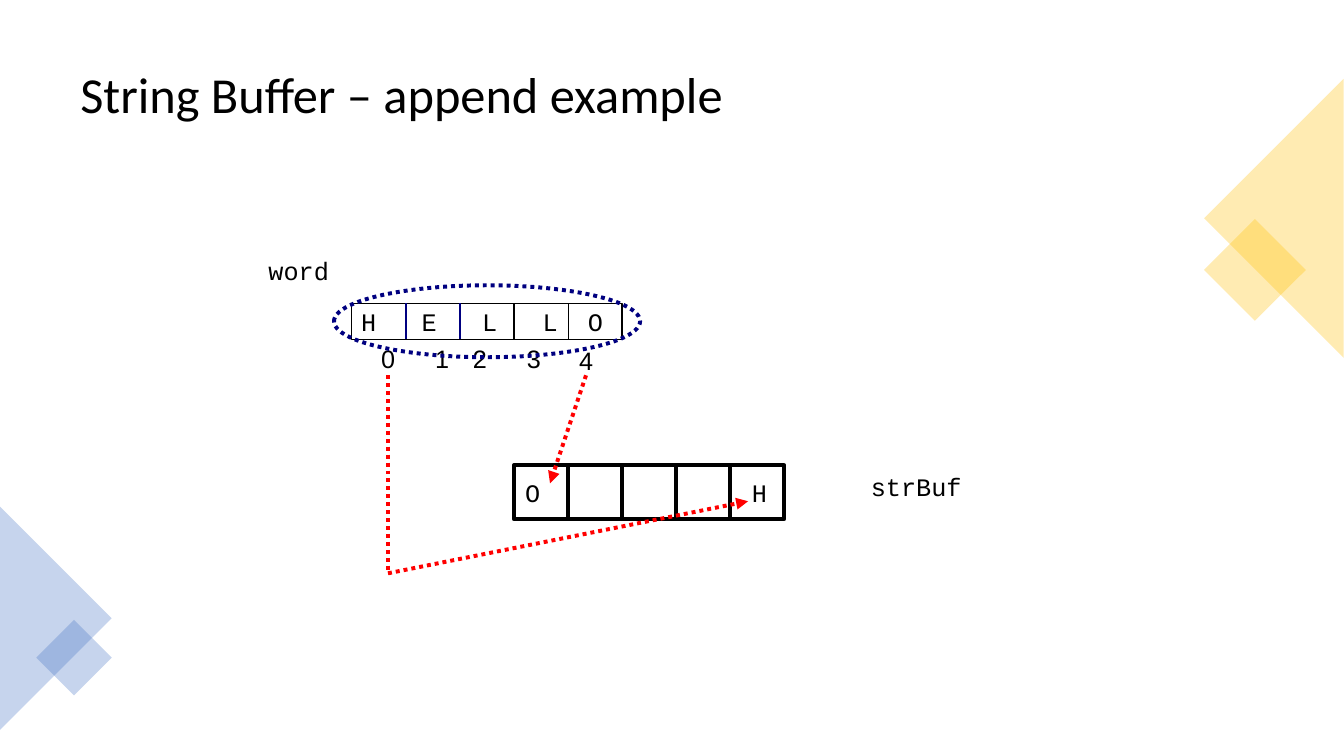
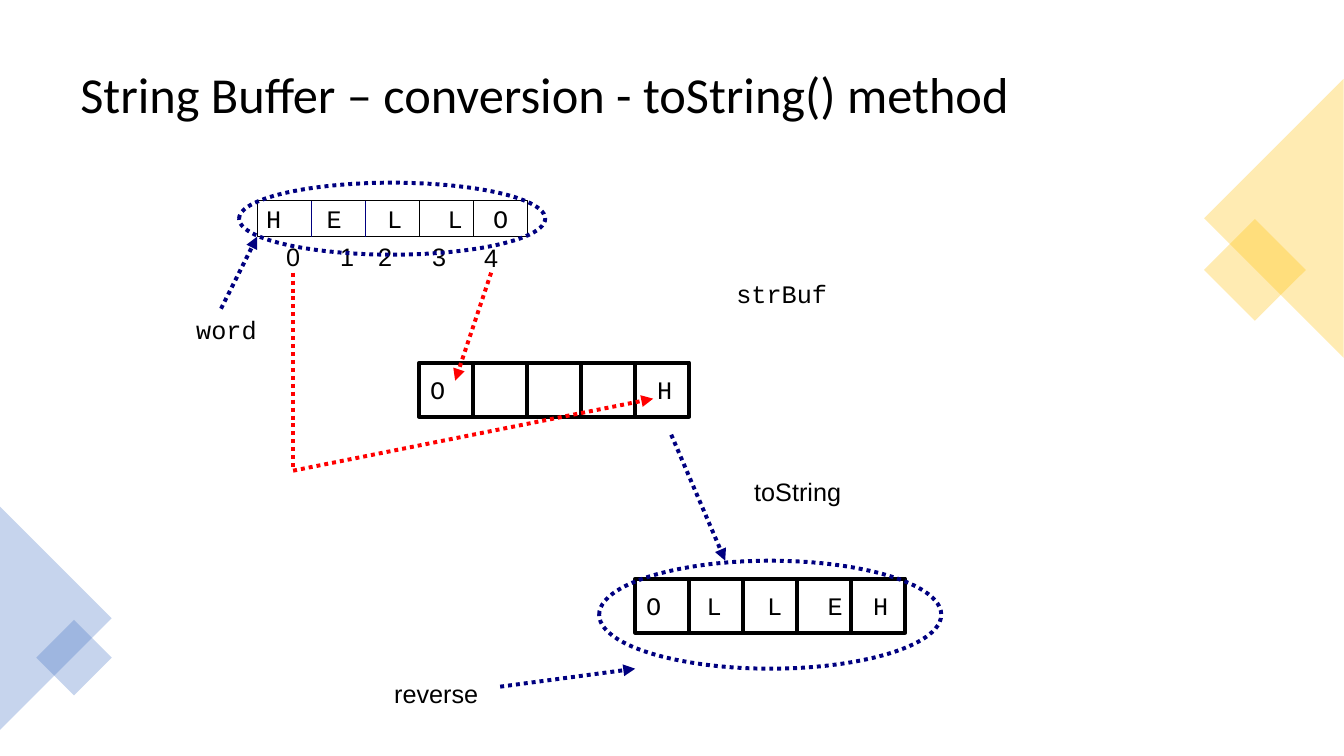
from lxml.etree import SubElement
from pptx import Presentation
from pptx.dml.color import RGBColor
from pptx.enum.dml import MSO_LINE
from pptx.enum.shapes import MSO_CONNECTOR, MSO_SHAPE
from pptx.enum.text import MSO_ANCHOR, MSO_AUTO_SIZE, PP_ALIGN
from pptx.oxml.ns import qn
from pptx.util import Inches, Pt

COLORS = {"ink": "000000", "navy": "000080", "red": "FF0000",
          "gold": "FFC000", "blue": "4472C4"}
MONO, SANS, HEAD = "Courier New", "Arial", "Calibri"
WIDE, HIGH = 13.33, 7.5
UNIT = 1 / 5.6          # grid step in inches; a letter cell is three steps wide
CELL, COUNT = 3, 5
THIN, BOLD = 0.75, 2.83
TABS = (0.6, 1.2, 1.8, 2.25)    # letter stops inside a row
MARKS = (1, 4, 6.1, 9.1, 12)    # columns of the index labels

# Corner ornaments: preset, colour, turn, column, row, width, height
DECOR = (
    (MSO_SHAPE.RECTANGLE, "gold", 45, 67.7, 13, 4, 4),
    (MSO_SHAPE.ISOSCELES_TRIANGLE, "gold", 270, 63, 8.25, 15.5, 7.75),
    (MSO_SHAPE.ISOSCELES_TRIANGLE, "blue", 90, -3.1, 31.25, 12.4, 6.2),
    (MSO_SHAPE.RECTANGLE, "blue", 45, 2.63, 35.05, 2.97, 2.97),
)


def rgb(name):
    return RGBColor.from_string(COLORS[name])


def span(*steps):
    """Turn grid steps into lengths."""
    return [Inches(step * UNIT) for step in steps]


def move(org, col, row):
    return org[0] + col, org[1] + row


def write(frame, text, font=SANS, size=18, color="ink", anchor=MSO_ANCHOR.TOP,
          pad=(0.11, 0.06, 0.11, 0.06), space=None, tabs=()):
    """Put one formatted paragraph into a text frame."""
    frame.word_wrap = True
    frame.auto_size = MSO_AUTO_SIZE.NONE
    frame.vertical_anchor = anchor
    (frame.margin_left, frame.margin_top,
     frame.margin_right, frame.margin_bottom) = [Inches(p) for p in pad]
    par = frame.paragraphs[0]
    par.alignment = PP_ALIGN.LEFT
    if space:
        par.line_spacing = space
    if tabs:
        stops = SubElement(par._p.get_or_add_pPr(), qn("a:tabLst"))
        for tab in tabs:
            SubElement(stops, qn("a:tab"), pos=str(Inches(tab)), algn="l")
    run = par.add_run()
    run.text = text
    run.font.name, run.font.size = font, Pt(size)
    run.font.color.rgb = rgb(color)


def stroke(line, color, width, dots=False):
    line.color.rgb = rgb(color)
    line.width = Pt(width)
    if dots:
        line.dash_style = MSO_LINE.ROUND_DOT


def shape(slide, kind, *box):
    item = slide.shapes.add_shape(kind, *span(*box))
    item.shadow.inherit = False
    item.fill.background()
    return item


def link(slide, org, start, end, color="navy", width=BOLD, dots=True, arrow=True):
    """Straight line between two grid points."""
    ends = span(*move(org, *start), *move(org, *end))
    item = slide.shapes.add_connector(MSO_CONNECTOR.STRAIGHT, *ends)
    stroke(item.line, color, width, dots)
    if arrow:
        SubElement(item.line._get_or_add_ln(), qn("a:tailEnd"), type="triangle")
    SubElement(item.element.spPr, qn("a:effectLst"))


def label(slide, org, text, col, row, width, font=SANS):
    box = slide.shapes.add_textbox(*span(*move(org, col, row), width, 2.1))
    write(box.text_frame, text, font=font, pad=(0.11, 0.06, 0, 0.06))


def ring(slide, org, col, row, width, height):
    item = shape(slide, MSO_SHAPE.OVAL, *move(org, col, row), width, height)
    stroke(item.line, "navy", BOLD, True)


def cells(slide, org, text, height=3, width=BOLD, pad=(0.11, 0.06, 0.11, 0.06),
          tabs=TABS, blue=0):
    """Row of letter cells; the first `blue` dividers are navy."""
    row = shape(slide, MSO_SHAPE.RECTANGLE, *org, CELL * COUNT, height)
    stroke(row.line, "ink", width)
    write(row.text_frame, text, font=MONO, anchor=MSO_ANCHOR.MIDDLE,
          pad=pad, tabs=tabs)
    for num in range(1, COUNT):
        link(slide, org, (num * CELL, 0), (num * CELL, height),
             "navy" if num <= blue else "ink", width, dots=False, arrow=False)


def source(slide, org):
    """The word with its indexes, copied in reverse into the buffer."""
    cells(slide, org, "H\tE\tL\tL\tO", height=2, width=THIN,
          pad=(0.09, 0.04, 0.09, 0.04), blue=2)
    for num, col in enumerate(MARKS):
        label(slide, org, str(num), col, 2 if num == COUNT - 1 else 1.9, 2)
    ring(slide, org, -1, -1, 17, 4)
    cells(slide, move(org, 9, 9), "O\tH", tabs=TABS[-1:])
    link(slide, org, (13, 4), (11, 10), "red")
    link(slide, org, (2, 4), (2, 15), "red", arrow=False)
    link(slide, org, (2, 15), (22, 11), "red")


def page(deck, title):
    """Slide with the shared title style and corner ornaments."""
    slide = deck.slides.add_slide(deck.slide_layouts[5])
    head = slide.shapes.title
    head.left, head.top, head.width, head.height = span(3.9, 1.95, 66.8, 6.95)
    write(head.text_frame, title, font=HEAD, size=36, anchor=MSO_ANCHOR.MIDDLE,
          pad=(0.1, 0.05, 0.1, 0.05), space=0.9)
    for kind, color, turn, *box in DECOR:
        item = shape(slide, kind, *box)
        item.rotation = turn
        item.fill.solid()
        item.fill.fore_color.rgb = rgb(color)
        item.line.fill.background()
        tint = item.element.spPr.find(qn("a:solidFill")).find(qn("a:srgbClr"))
        SubElement(tint, qn("a:alpha"), val="30000")
    return slide


def append(deck):
    slide, org = page(deck, "String Buffer – append example"), (19.55, 16.85)
    source(slide, org)
    label(slide, org, "word", -5.25, -3, 4.3, MONO)
    label(slide, org, "strBuf", 28.2, 9, 5.8, MONO)


def convert(deck):
    slide = page(deck, "String Buffer – conversion - toString() method")
    org = (14.28, 11.15)
    source(slide, org)
    label(slide, org, "word", -4, 6, 4.3, MONO)
    link(slide, org, (-2, 6), (0, 2))
    label(slide, org, "strBuf", 26, 4, 5.8, MONO)
    # Reversed string
    cells(slide, move(org, 21, 21), "O\tL\tL\tE\tH")
    link(slide, org, (23, 13), (26, 20))
    ring(slide, org, 19, 20, 19, 6)
    label(slide, org, "toString", 27, 15, 5.6)
    label(slide, org, "reverse", 7, 26.2, 5.4)
    link(slide, org, (13.5, 27), (21, 26))


def main():
    deck = Presentation()
    deck.slide_width, deck.slide_height = Inches(WIDE), Inches(HIGH)
    append(deck)
    convert(deck)
    deck.save("out.pptx")


if __name__ == "__main__":
    main()
